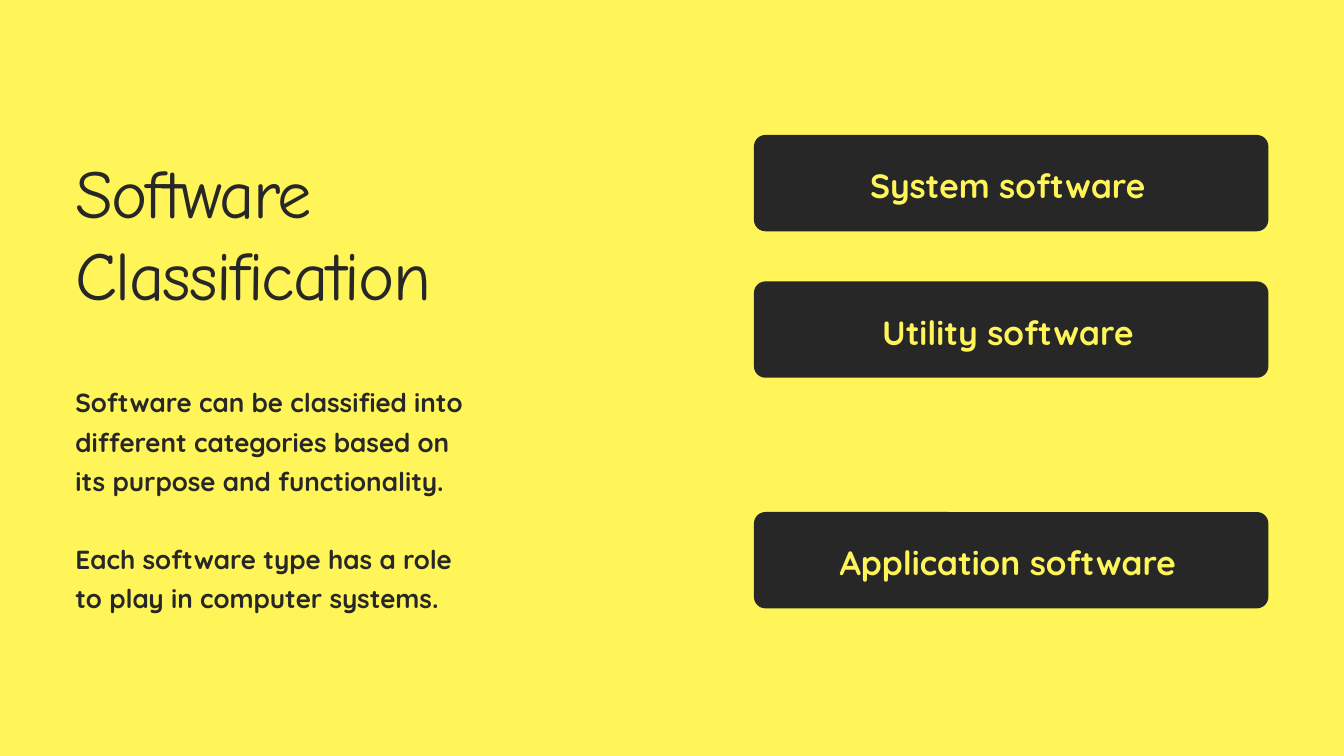
from dataclasses import dataclass

from pptx import Presentation
from pptx.dml.color import RGBColor
from pptx.enum.shapes import MSO_SHAPE
from pptx.enum.text import MSO_ANCHOR, MSO_AUTO_SIZE, PP_ALIGN
from pptx.slide import Slide
from pptx.text.text import TextFrame
from pptx.util import Pt

YELLOW = RGBColor(0xFF, 0xF5, 0x59)
CHARCOAL = RGBColor(0x27, 0x27, 0x27)
ROUNDED = MSO_SHAPE.ROUNDED_RECTANGLE
TOP = MSO_ANCHOR.TOP
NO_AUTOFIT = MSO_AUTO_SIZE.NONE
LEFT, CENTER = PP_ALIGN.LEFT, PP_ALIGN.CENTER

MARGIN_LEFT = 80.8
CARD_LEFT, CARD_WIDTH, CARD_HEIGHT = 807.8, 551.2, 103.2
CARD_RADIUS = 12.3
CARD_INSETS = (33.1, 25.2, 40.3, 0)


@dataclass(frozen=True)
class TextStyle:
    font: str
    size: float
    line_height: float
    color: RGBColor
    bold: bool = False
    align: PP_ALIGN = LEFT
    tracking: float = 0
    gap: float = 0


@dataclass(frozen=True)
class Card:
    label: str
    top: float


TITLE_STYLE = TextStyle("Comic Neue", 73.5, 88.2, CHARCOAL, tracking=-1.8)
BODY_STYLE = TextStyle("Quicksand", 28, 42, CHARCOAL, bold=True, gap=42)
CARD_STYLE = TextStyle("Quicksand", 36, 46.8, YELLOW, bold=True, align=CENTER)

BODY = (
    "Software can be classified into different categories based on "
    "its purpose and functionality.",
    "Each software type has a role to play in computer systems.",
)
CARDS = (
    Card("System software", 144.6),
    Card("Utility software", 301.5),
    Card("Application software", 548.6),
)


def write_text(
    frame: TextFrame,
    texts: tuple[str, ...],
    style: TextStyle,
    insets: tuple[float, float, float, float] = (0, 0, 0, 0),
) -> None:
    """Fill a frame with one paragraph per text."""
    frame.word_wrap = True
    frame.auto_size = NO_AUTOFIT
    frame.vertical_anchor = TOP
    frame.margin_left, frame.margin_top, frame.margin_right, frame.margin_bottom = map(Pt, insets)
    for index, text in enumerate(texts):
        para = frame.add_paragraph() if index else frame.paragraphs[0]
        para.alignment = style.align
        para.line_spacing = Pt(style.line_height)
        para.space_before = Pt(style.gap if index else 0)
        span = para.add_run()
        span.text = text
        span.font.name = style.font
        span.font.size = Pt(style.size)
        span.font.bold = style.bold
        span.font.color.rgb = style.color
        if style.tracking:
            span.font._element.set("spc", str(round(style.tracking * 100)))


def add_card(page: Slide, card: Card) -> None:
    """Draw a dark rounded card with its label."""
    box = page.shapes.add_shape(
        ROUNDED, Pt(CARD_LEFT), Pt(card.top), Pt(CARD_WIDTH), Pt(CARD_HEIGHT)
    )
    box.adjustments[0] = CARD_RADIUS / CARD_HEIGHT
    box.shadow.inherit = False
    box.fill.solid()
    box.fill.fore_color.rgb = CHARCOAL
    box.line.fill.background()
    write_text(box.text_frame, (card.label,), CARD_STYLE, CARD_INSETS)


def main() -> None:
    deck = Presentation()
    deck.slide_width, deck.slide_height = Pt(1440), Pt(810)
    page = deck.slides.add_slide(deck.slide_layouts.get_by_name("Title Only"))
    page.background.fill.solid()
    page.background.fill.fore_color.rgb = YELLOW

    # Title
    title = page.shapes.title
    title.left, title.top = Pt(MARGIN_LEFT), Pt(160.6)
    title.width, title.height = Pt(519), Pt(176.4)
    write_text(title.text_frame, ("Software Classification",), TITLE_STYLE)

    # Explanation
    body = page.shapes.add_textbox(Pt(MARGIN_LEFT), Pt(406), Pt(435.6), Pt(245.5))
    write_text(body.text_frame, BODY, BODY_STYLE)

    # Software types
    for card in CARDS:
        add_card(page, card)

    deck.save("out.pptx")


if __name__ == "__main__":
    main()
